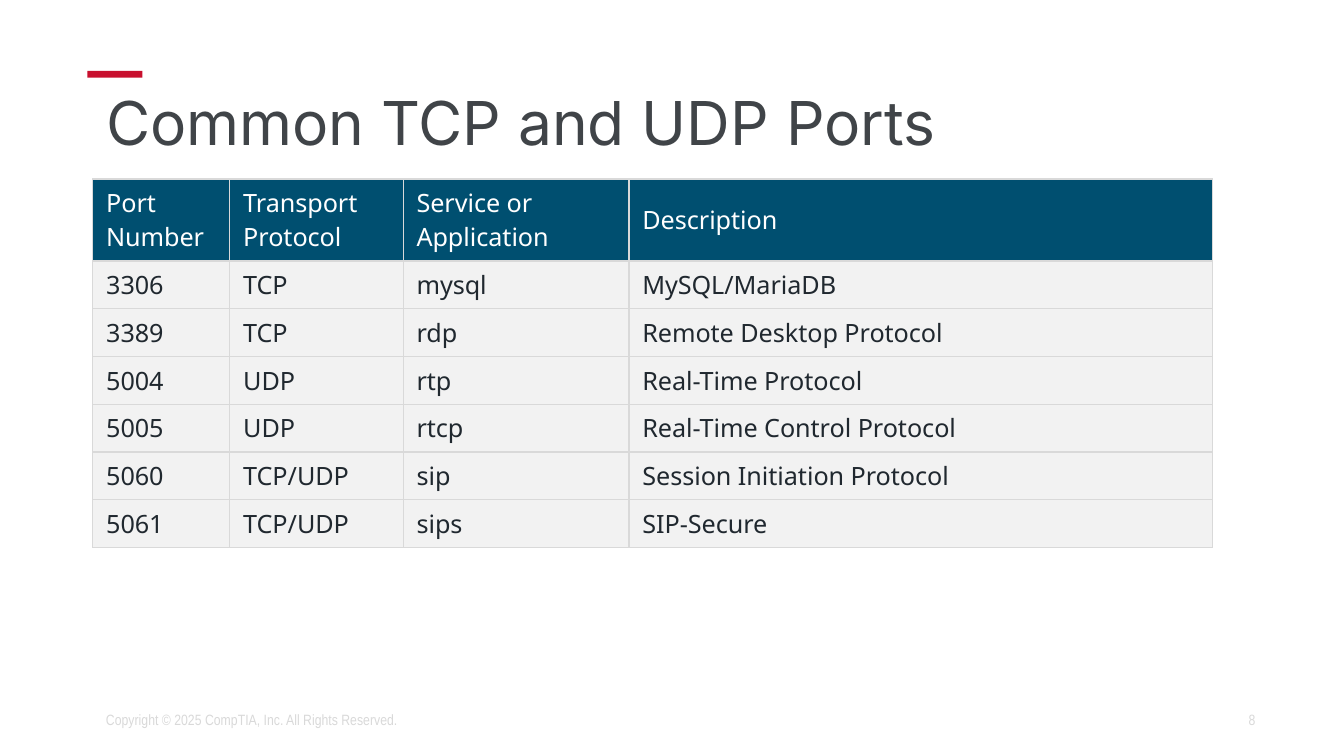
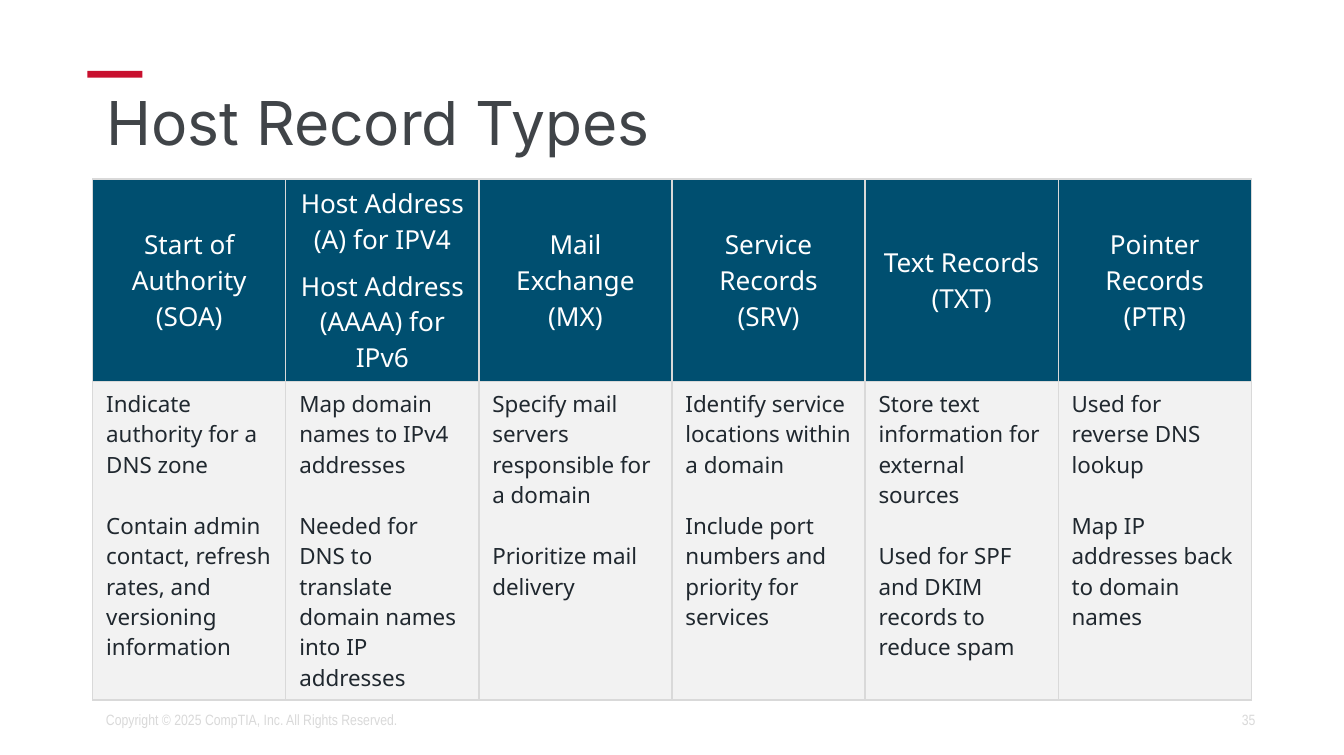
"""Build two table slides on network ports and host records."""
import lxml.etree
import pptx
import pptx.dml.color
import pptx.enum.shapes
import pptx.enum.text
import pptx.oxml
import pptx.oxml.ns
import pptx.util

HUES = {
    "red": "C8102E", "title": "404448", "head": "004F70", "cell": "F2F2F2",
    "white": "FFFFFF", "ink": "20282F", "pale": "D9D9D9",
}
WIDE, HIGH = pptx.util.Inches(10), pptx.util.Inches(5.62)
LEFT, TOP = 0.069, 0.237
ALIGN = pptx.enum.text.PP_ALIGN
ANCHOR = pptx.enum.text.MSO_ANCHOR

DECK = [
    {
        "title": "Common TCP and UDP Ports",
        "page": "8",
        "cols": [1.02, 1.29, 1.68, 4.34],
        "rows": [0.61] + [0.355] * 6,
        "sizes": [13.5, 13.5],
        "align": ALIGN.LEFT,
        "cells": [
            ["Port Number", "Transport Protocol", "Service or Application", "Description"],
            ["3306", "TCP", "mysql", "MySQL/MariaDB"],
            ["3389", "TCP", "rdp", "Remote Desktop Protocol"],
            ["5004", "UDP", "rtp", "Real-Time Protocol"],
            ["5005", "UDP", "rtcp", "Real-Time Control Protocol"],
            ["5060", "TCP/UDP", "sip", "Session Initiation Protocol"],
            ["5061", "TCP/UDP", "sips", "SIP-Secure"],
        ],
    },
    {
        "title": "Host Record Types",
        "page": "35",
        "cols": [8.62 / 6] * 6,
        "rows": [1.5, 2.37],
        "sizes": [14, 12],
        "align": ALIGN.CENTER,
        "cells": [
            [
                "Start of Authority (SOA)",
                "Host Address (A) for IPV4\nHost Address (AAAA) for IPv6",
                "Mail Exchange (MX)",
                "Service Records (SRV)",
                "Text Records (TXT)",
                "Pointer Records (PTR)",
            ],
            [
                "Indicate authority for a DNS zone\n"
                "Contain admin contact, refresh rates, and versioning information",
                "Map domain names to IPv4 addresses\n"
                "Needed for DNS to translate domain names into IP addresses",
                "Specify mail servers responsible for a domain\nPrioritize mail delivery",
                "Identify service locations within a domain\n"
                "Include port numbers and priority for services",
                "Store text information for external sources\n"
                "Used for SPF and DKIM records to reduce spam",
                "Used for reverse DNS lookup\nMap IP addresses back to domain names",
            ],
        ],
    },
]


def place(x, y, w, h):
    """Turn shares of the slide into lengths."""
    return int(x * WIDE), int(y * HIGH), int(w * WIDE), int(h * HIGH)


def write(frame, text, face, size, hue, align=ALIGN.LEFT, gap=0):
    """Fill a text frame, with a gap between its paragraphs."""
    frame.text = text
    frame.word_wrap = True
    for i, para in enumerate(frame.paragraphs):
        para.alignment = align
        para.space_before = pptx.util.Pt(gap if i else 0)
        para.font.name = face
        para.font.size = pptx.util.Pt(size)
        para.font.color.rgb = pptx.dml.color.RGBColor.from_string(HUES[hue])


deck = pptx.Presentation()
deck.slide_width, deck.slide_height = WIDE, HIGH

for data in DECK:
    slide = deck.slides.add_slide(deck.slide_layouts[5])

    bar = slide.shapes.add_shape(
        pptx.enum.shapes.MSO_SHAPE.RECTANGLE, *place(0.065, 0.094, 0.041, 0.009))
    bar.shadow.inherit = False
    bar.fill.solid()
    bar.fill.fore_color.rgb = pptx.dml.color.RGBColor.from_string(HUES["red"])
    bar.line.fill.background()

    title = slide.shapes.title
    title.left, title.top, title.width, title.height = place(LEFT, 0.114, 0.862, 0.112)
    write(title.text_frame, data["title"], "Inter", 32.4, "title")
    title.text_frame.auto_size = pptx.enum.text.MSO_AUTO_SIZE.NONE
    title.text_frame.vertical_anchor = ANCHOR.TOP
    title.text_frame.paragraphs[0].line_spacing = 0.9

    cols, rows = data["cols"], data["rows"]
    frame = slide.shapes.add_table(
        len(rows), len(cols), *place(LEFT, TOP, sum(cols) / 10, sum(rows) / 5.62))
    table = frame.table
    table.first_row = table.horz_banding = False
    for col, wide in zip(table.columns, cols):
        col.width = pptx.util.Inches(wide)
    for row, high in zip(table.rows, rows):
        row.height = pptx.util.Inches(high)

    for r, line in enumerate(data["cells"]):
        for c, text in enumerate(line):
            cell = table.cell(r, c)
            if r == 0:
                write(cell.text_frame, text, "Noto Sans", data["sizes"][0], "white",
                      data["align"], 6)
                cell.vertical_anchor = ANCHOR.MIDDLE
            else:
                write(cell.text_frame, text, "Noto Sans", data["sizes"][1], "ink", gap=16.3)
            cell.fill.solid()
            cell.fill.fore_color.rgb = pptx.dml.color.RGBColor.from_string(
                HUES["cell" if r else "head"])
            props = cell._tc.get_or_add_tcPr()
            for i, side in enumerate(["lnL", "lnR", "lnT", "lnB"]):
                edge = pptx.oxml.parse_xml(
                    f'<a:{side} {pptx.oxml.ns.nsdecls("a")} w="{pptx.util.Pt(0.75)}">'
                    f'<a:solidFill><a:srgbClr val="{HUES["pale"]}"/></a:solidFill></a:{side}>')
                props.insert(i, edge)

    for x, w, text, align in [
        (0.706, 0.238, data["page"], ALIGN.RIGHT),
        (LEFT, 0.431, "Copyright © 2025 CompTIA, Inc. All Rights Reserved.", ALIGN.LEFT),
    ]:
        foot = slide.shapes.add_textbox(*place(x, 0.927, w, 0.053))
        write(foot.text_frame, text, "Arial Narrow", 8, "pale", align)
        foot.text_frame.vertical_anchor = ANCHOR.MIDDLE

deck.save("out.pptx")
